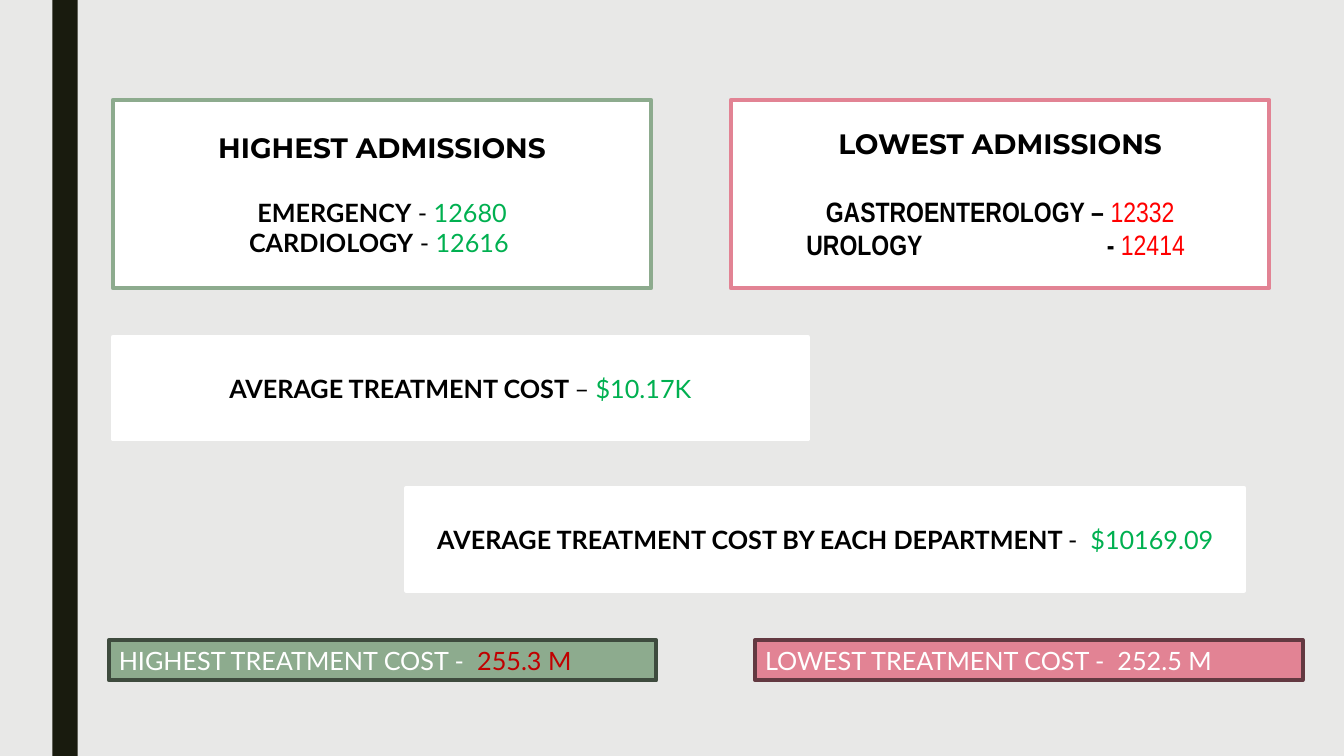
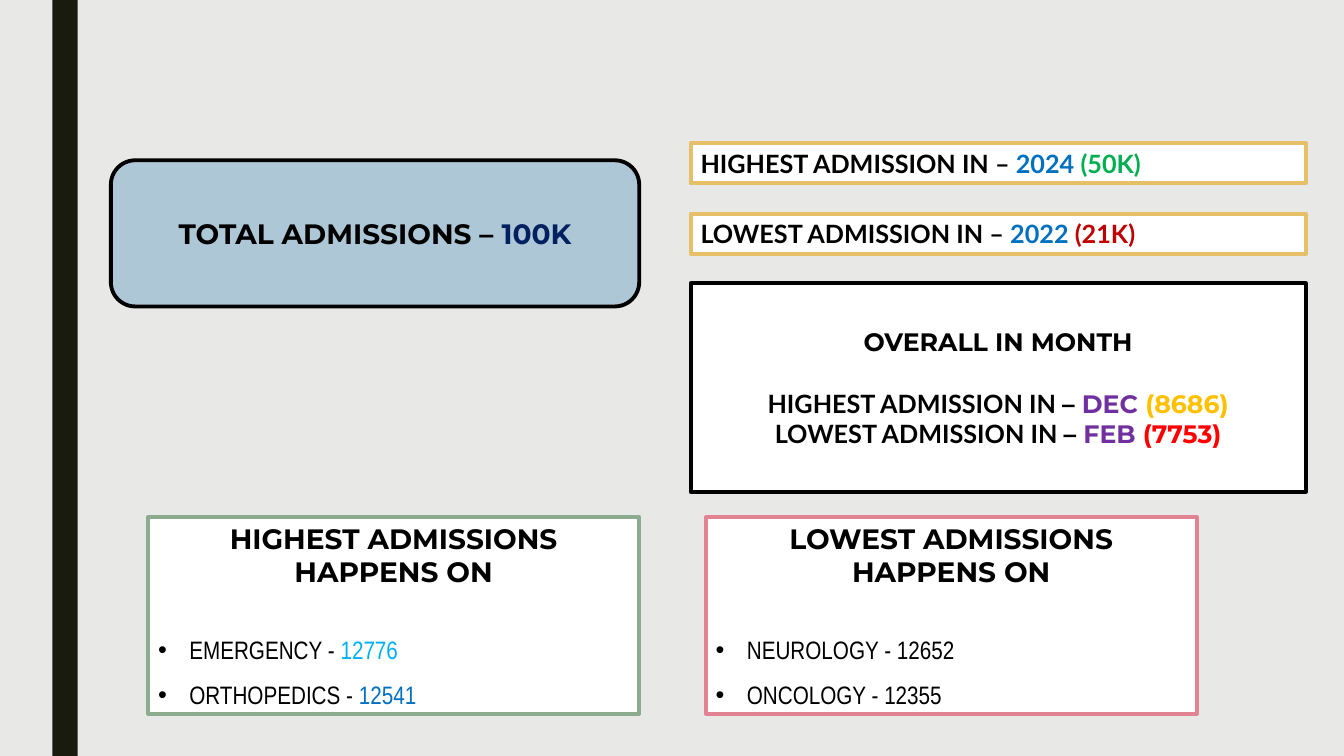
from lxml.etree import SubElement
from pptx import Presentation
from pptx.dml.color import RGBColor
from pptx.enum.shapes import MSO_SHAPE
from pptx.enum.text import MSO_ANCHOR, MSO_AUTO_SIZE, PP_ALIGN
from pptx.oxml.ns import qn
from pptx.util import Inches, Pt


class Theme:
    # Colours
    page, band = "E8E8E7", "191B0E"
    white, black = "FFFFFF", "000000"
    sage, moss = "8DAB8E", "3E4B3E"
    rose, plum = "E28394", "633941"
    sky, gold = "ADC7D6", "E6C069"
    green, red, wine = "00B050", "FF0000", "C00000"
    blue, cyan, navy = "0070C0", "00B0F0", "002060"
    violet, amber = "7030A0", "FFC000"
    # Type and lines
    head, body, slim = "Montserrat", "Lato", "Arial Narrow"
    large, small = 20, 18
    stroke = 2.75


def card(slide, x, y, w, h, fill=Theme.white, line=Theme.black,
         kind=MSO_SHAPE.RECTANGLE, fit=False):
    """Draw a box and return its text frame."""
    box = slide.shapes.add_shape(kind, Inches(x), Inches(y), Inches(w), Inches(h))
    box.shadow.inherit = False
    box.fill.solid()
    box.fill.fore_color.rgb = RGBColor.from_string(fill)
    if line:
        box.line.color.rgb = RGBColor.from_string(line)
        box.line.width = Pt(Theme.stroke)
    else:
        box.line.fill.background()
    frame = box.text_frame
    frame.word_wrap = True
    frame.vertical_anchor = MSO_ANCHOR.TOP if fit else MSO_ANCHOR.MIDDLE
    if fit:
        frame.auto_size = MSO_AUTO_SIZE.SHAPE_TO_FIT_TEXT
    return frame


def write(frame, *runs, size=Theme.small, font=Theme.body, bold=False,
          align=PP_ALIGN.CENTER, gap=0, bullet=False, tabs=()):
    """Add a paragraph of runs: (text, colour[, bold[, font]])."""
    para = frame.paragraphs[0]
    if para.runs:
        para = frame.add_paragraph()
    para.alignment = align
    para.space_before = Pt(gap)
    props = para._p.get_or_add_pPr()
    if bullet:
        para.line_spacing = 1.5
        props.set("marL", str(Inches(0.31)))
        props.set("indent", str(-Inches(0.31)))
        SubElement(props, qn("a:buFont")).set("typeface", "Arial")
        SubElement(props, qn("a:buChar")).set("char", "•")
    if tabs:
        stops = SubElement(props, qn("a:tabLst"))
        for spot in tabs:
            stop = SubElement(stops, qn("a:tab"))
            stop.set("pos", str(Inches(spot)))
            stop.set("algn", "l")
    for text, tint, *style in runs:
        run = para.add_run()
        run.text = text
        run.font.size = Pt(size)
        run.font.color.rgb = RGBColor.from_string(tint)
        run.font.bold = style[0] if style else bold
        run.font.name = style[1] if len(style) > 1 else font


T = Theme
deck = Presentation()
deck.slide_width, deck.slide_height = Inches(13.33), Inches(7.5)
master = deck.slide_master
blank = deck.slide_layouts[6]
costs = deck.slides.add_slide(blank)
trends = deck.slides.add_slide(blank)

# Shared background and side band, kept on the master
master.background.fill.solid()
master.background.fill.fore_color.rgb = RGBColor.from_string(T.page)
card(costs, 0.52, 0, 0.25, 7.5, fill=T.band, line=None)
master.shapes._spTree.append(costs.shapes[0]._element)

# Slide 1: departments with most admissions
most = card(costs, 1.12, 0.99, 5.34, 1.87, line=T.sage)
write(most, ("HIGHEST ADMISSIONS", T.black), size=T.large, font=T.head, bold=True)
write(most, ("EMERGENCY", T.black, True), (" - ", T.black), ("12680", T.green), gap=24)
write(most, ("CARDIOLOGY", T.black, True), (" -", T.black), (" 12616 ", T.green))

# Departments with fewest admissions
least = card(costs, 7.25, 0.99, 5.34, 1.87, line=T.rose)
write(least, ("LOWEST ADMISSIONS", T.black), size=T.large, font=T.head, bold=True)
write(least, ("GASTROENTEROLOGY – ", T.black, True), ("12332", T.red),
      size=T.large, font=T.slim, gap=24)
write(least, ("\tUROLOGY\t- ", T.black, True), ("12414", T.red),
      size=T.large, font=T.slim, align=PP_ALIGN.LEFT, tabs=(0.65, 3.63))

# Average costs
for x, y, w, label, dash, cost in (
        (1.12, 3.34, 6.89, "AVERAGE TREATMENT COST ", "– ", "$10.17K"),
        (4.03, 4.84, 8.31, "AVERAGE TREATMENT COST BY EACH DEPARTMENT ", "-  ", "$10169.09")):
    mean = card(costs, x, y, w, 1.02, line=T.white)
    write(mean, (label, T.black, True), (dash, T.black), (cost, T.green))

# Cost extremes
for x, fill, line, label, cost, tint in (
        (1.08, T.sage, T.moss, "HIGHEST TREATMENT COST -  ", "255.3 M", T.wine),
        (7.49, T.rose, T.plum, "LOWEST TREATMENT COST -  ", "252.5 M", T.white)):
    strip = card(costs, x, 6.35, 5.43, 0.4, fill=fill, line=line, fit=True)
    write(strip, (label, T.white), (cost, tint), align=PP_ALIGN.LEFT)

# Slide 2: admissions by day
for x, line, word, rows in (
        (7, T.rose, "LOWEST", (("NEUROLOGY - ", "12652", T.black),
                               ("ONCOLOGY - ", "12355", T.black))),
        (1.47, T.sage, "HIGHEST", (("EMERGENCY - ", "12776", T.cyan),
                                   ("ORTHOPEDICS - ", "12541", T.blue)))):
    days = card(trends, x, 5.13, 4.87, 1.95, line=line)
    write(days, (f"{word} ADMISSIONS HAPPENS ON", T.black),
          size=T.large, font=T.head, bold=True)
    for row, (name, count, tint) in enumerate(rows):
        write(days, (name, T.black), (count, tint), font=T.slim,
              align=PP_ALIGN.LEFT, gap=0 if row else 22, bullet=True)

# Admissions by year
for y, word, year, count, tint in (
        (1.42, "HIGHEST", "2024 ", "(50K)", T.green),
        (2.12, "LOWEST", "2022 ", "(21K)", T.wine)):
    strip = card(trends, 6.85, y, 6.1, 0.4, line=T.gold, fit=True)
    write(strip, (f"{word} ADMISSION IN – ", T.black), (year, T.blue), (count, tint),
          bold=True, align=PP_ALIGN.LEFT)

# Admissions by month
months = card(trends, 6.85, 2.81, 6.1, 2.07)
write(months, ("OVERALL IN MONTH", T.black), font=T.head, bold=True)
for word, month, count, tint, gap in (
        ("HIGHEST", "DEC ", "(8686)", T.amber, 22),
        ("LOWEST", "FEB ", "(7753)", T.red, 0)):
    write(months, (f"{word} ADMISSION IN ", T.black, True, T.body), ("– ", T.black),
          (month, T.violet), (count, tint), font=T.head, bold=True, gap=gap)

# Total admissions
total = card(trends, 1.1, 1.59, 5.24, 1.45, fill=T.sky, kind=MSO_SHAPE.ROUNDED_RECTANGLE)
write(total, ("TOTAL ADMISSIONS – ", T.black), ("100K", T.navy),
      size=T.large, font=T.head, bold=True)

deck.save("out.pptx")
